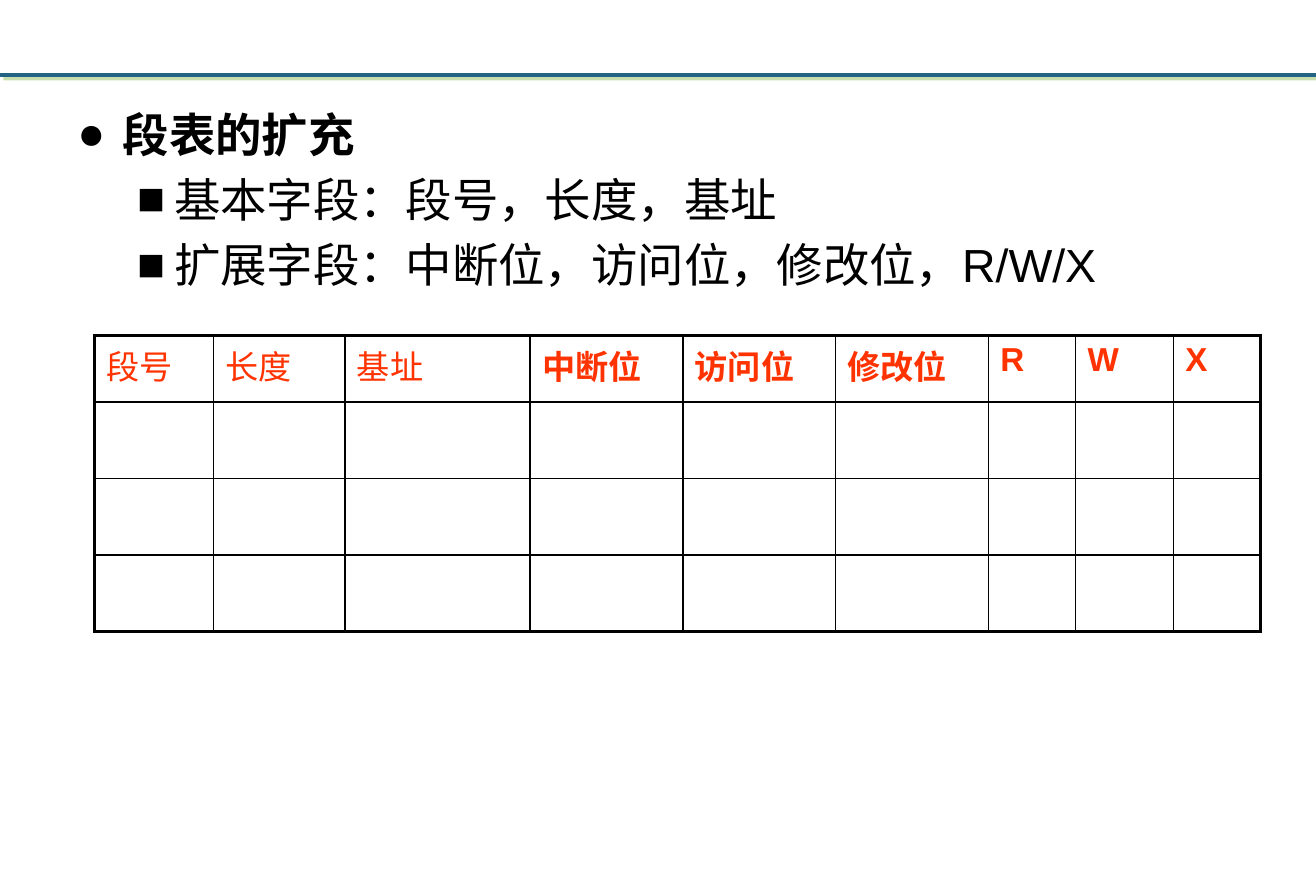
from dataclasses import dataclass
from typing import Any

from lxml.etree import SubElement
from pptx import Presentation
from pptx.dml.color import RGBColor
from pptx.enum.shapes import MSO_CONNECTOR
from pptx.oxml.ns import qn
from pptx.util import Inches, Pt


@dataclass(frozen=True)
class Theme:
    font: str = "Arial"
    ink: str = "000000"
    accent: str = "FF3300"
    rule: str = "236485"
    rule_shadow: str = "90C060"
    body_size: float = 28
    table_size: float = 20
    body_gap: float = 5.6
    thin: float = 1
    thick: float = 2.25


@dataclass
class SlideBuilder:
    slide: Any
    theme: Theme

    def style(self, paragraph, size, color, bold):
        for run in paragraph.runs:
            run.font.name = self.theme.font
            run.font.size = Pt(size)
            run.font.bold = bold
            run.font.color.rgb = RGBColor.from_string(color)

    def header_rule(self, y, width):
        rule = self.slide.shapes.add_connector(
            MSO_CONNECTOR.STRAIGHT, 0, Inches(y), Inches(width), Inches(y))
        rule.line.color.rgb = RGBColor.from_string(self.theme.rule)
        rule.line.width = Pt(self.theme.thick)
        effects = SubElement(rule._element.spPr, qn("a:effectLst"))
        shadow = SubElement(effects, qn("a:outerShdw"), blurRad="0",
                            dist=str(Pt(2.8)), dir="2700000", algn="ctr", rotWithShape="0")
        color = SubElement(shadow, qn("a:srgbClr"), val=self.theme.rule_shadow)
        SubElement(color, qn("a:alpha"), val="50000")

    def bullet(self, paragraph, symbol, margin, hanging):
        properties = paragraph._p.get_or_add_pPr()
        properties.set("marL", str(Inches(margin)))
        properties.set("indent", str(-Inches(hanging)))
        SubElement(properties, qn("a:buFont"), typeface=self.theme.font)
        SubElement(properties, qn("a:buChar"), char=symbol)

    def outline(self, left, top, width, height, heading, details):
        body = self.slide.shapes.add_textbox(
            Inches(left), Inches(top), Inches(width), Inches(height)).text_frame
        body.word_wrap = True
        body.text = "\n".join([heading, *details])
        for index, paragraph in enumerate(body.paragraphs):
            is_heading = index == 0
            if is_heading:
                self.bullet(paragraph, "●", 0.38, 0.38)
            else:
                self.bullet(paragraph, "■", 0.81, 0.31)
                paragraph.level = 1
                paragraph.space_before = Pt(self.theme.body_gap)
            self.style(paragraph, self.theme.body_size, self.theme.ink, is_heading)

    def borders(self, cell, outer_edges):
        properties = cell._tc.get_or_add_tcPr()
        for edge, is_outer in outer_edges.items():
            weight = self.theme.thick if is_outer else self.theme.thin
            line = SubElement(properties, qn(f"a:{edge}"), w=str(Pt(weight)))
            fill = SubElement(line, qn("a:solidFill"))
            SubElement(fill, qn("a:srgbClr"), val=self.theme.ink)

    def segment_table(self, left, top, columns, row_heights, bold_from):
        segments = self.slide.shapes.add_table(
            len(row_heights), len(columns), Inches(left), Inches(top),
            Inches(sum(width for _, width in columns)), Inches(sum(row_heights))).table
        segments.first_row = False
        segments.horz_banding = False
        last_row, last_column = len(row_heights) - 1, len(columns) - 1
        for row, height in enumerate(row_heights):
            segments.rows[row].height = Inches(height)
            for column in range(len(columns)):
                cell = segments.cell(row, column)
                self.borders(cell, {"lnL": column == 0, "lnR": column == last_column,
                                    "lnT": row == 0, "lnB": row == last_row})
                cell.fill.background()
        for column, (field, width) in enumerate(columns):
            segments.columns[column].width = Inches(width)
            header = segments.cell(0, column).text_frame
            header.text = field
            self.style(header.paragraphs[0], self.theme.table_size,
                       self.theme.accent, column >= bold_from)


def main():
    slide_width = 28 / 2.54
    deck = Presentation()
    deck.slide_width = Inches(slide_width)
    deck.slide_height = Inches(7.5)
    builder = SlideBuilder(deck.slides.add_slide(deck.slide_layouts[6]), Theme())
    builder.header_rule(0.63, slide_width)
    builder.outline(0.55, 0.84, 9.92, 5.86, "段表的扩充", [
        "基本字段：段号，长度，基址",
        "扩展字段：中断位，访问位，修改位，R/W/X",
    ])
    fields = [("段号", 1), ("长度", 1.1), ("基址", 1.55),
              ("中断位", 1.28), ("访问位", 1.28), ("修改位", 1.28),
              ("R", 0.73), ("W", 0.82), ("X", 0.73)]
    builder.segment_table(0.79, 2.81, fields, [0.56] + [0.64] * 3, bold_from=3)
    deck.save("out.pptx")


if __name__ == "__main__":
    main()
